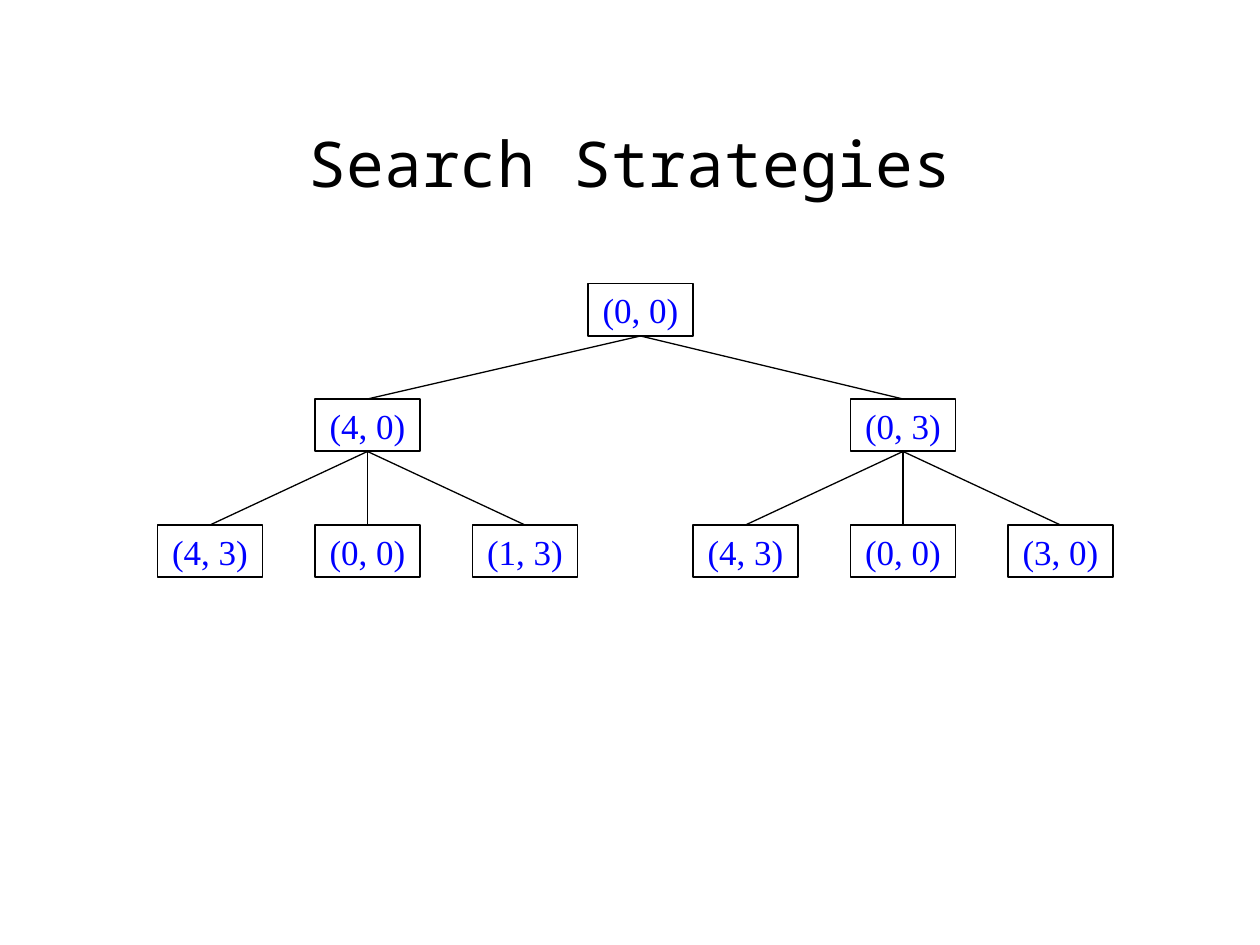
from pptx import Presentation
from pptx.dml.color import RGBColor
from pptx.enum.shapes import MSO_CONNECTOR, MSO_SHAPE
from pptx.enum.text import MSO_ANCHOR, PP_ALIGN
from pptx.util import Pt
from lxml.etree import SubElement
from pptx.oxml.ns import qn

COLORS = {"ink": "000000", "state": "0000FF"}
NODE_WIDTH, NODE_HEIGHT = 60, 30
LEVEL_TOPS = [162, 228, 300]
CHILD_STEP = 90
TOP, BOTTOM = 0, 2


def write_text(shape, text, font_name, size, color, wrap):
    frame = shape.text_frame
    frame.word_wrap = wrap
    frame.vertical_anchor = MSO_ANCHOR.MIDDLE
    para = frame.paragraphs[0]
    para.text = text
    para.alignment = PP_ALIGN.CENTER
    para.font.name = font_name
    para.font.size = Pt(size)
    para.font.color.rgb = RGBColor.from_string(COLORS[color])


def add_node(text, center, level, parent=None):
    node = page.shapes.add_shape(
        MSO_SHAPE.RECTANGLE, Pt(center - NODE_WIDTH / 2), Pt(LEVEL_TOPS[level]),
        Pt(NODE_WIDTH), Pt(NODE_HEIGHT))
    node.shadow.inherit = False
    node.fill.background()
    node.line.color.rgb = RGBColor.from_string(COLORS["ink"])
    node.line.width = Pt(1)
    write_text(node, text, "Times New Roman", 20, "state", False)
    if parent is not None:
        branch = page.shapes.add_connector(MSO_CONNECTOR.STRAIGHT, 0, 0, 0, 0)
        branch.begin_connect(parent, BOTTOM)
        branch.end_connect(node, TOP)
        branch.line.color.rgb = RGBColor.from_string(COLORS["ink"])
        branch.line.width = Pt(0.75)
        SubElement(branch._element.spPr, qn("a:effectLst"))
    return node


deck = Presentation()
deck.slide_width, deck.slide_height = Pt(720), Pt(540)
page = deck.slides.add_slide(deck.slide_layouts[6])

title = page.shapes.add_textbox(Pt(24), Pt(48), Pt(672), Pt(90))
write_text(title, "Search Strategies", "Noto Sans Mono", 36, "ink", True)

root = add_node("(0, 0)", 366, 0)
subtrees = [
    ("(4, 0)", 210, ["(4, 3)", "(0, 0)", "(1, 3)"]),
    ("(0, 3)", 516, ["(4, 3)", "(0, 0)", "(3, 0)"]),
]
for state, center, children in subtrees:
    branch_node = add_node(state, center, 1, root)
    for index, child in enumerate(children):
        add_node(child, center + (index - 1) * CHILD_STEP, 2, branch_node)

deck.save("out.pptx")
